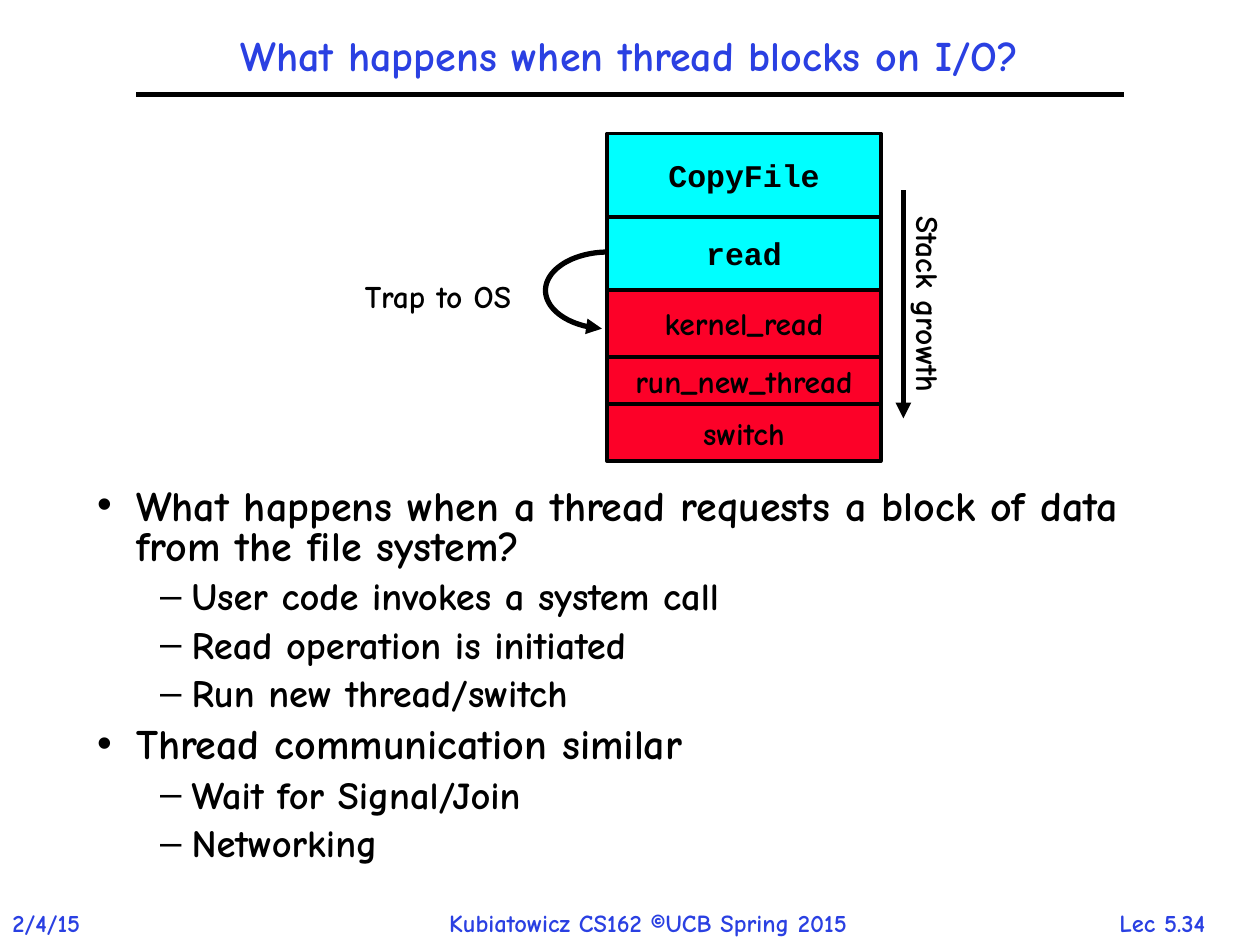
from collections import namedtuple
from math import cos, radians, sin

from lxml import etree
from pptx import Presentation
from pptx.dml.color import RGBColor
from pptx.enum.shapes import MSO_CONNECTOR, MSO_SHAPE
from pptx.enum.text import MSO_ANCHOR, MSO_AUTO_SIZE, PP_ALIGN
from pptx.oxml.ns import qn
from pptx.util import Inches, Pt

STRAIGHT = MSO_CONNECTOR.STRAIGHT
RECTANGLE = MSO_SHAPE.RECTANGLE
MIDDLE, TOP = MSO_ANCHOR.MIDDLE, MSO_ANCHOR.TOP
FIT_SHAPE, NO_FIT = MSO_AUTO_SIZE.SHAPE_TO_FIT_TEXT, MSO_AUTO_SIZE.NONE
LEFT, CENTER = PP_ALIGN.LEFT, PP_ALIGN.CENTER

COLORS = {"blue": "2A40E2", "black": "000000", "user": "00FFFF", "kernel": "FC0128"}
HAND, CODE = "Comic Neue", "Courier New"

FRAMES = [
    ("CopyFile", 0.66, "user", CODE),
    ("read", 0.58, "user", CODE),
    ("kernel_read", 0.53, "kernel", HAND),
    ("run_new_thread", 0.38, "kernel", HAND),
    ("switch", 0.45, "kernel", HAND),
]
POINTS = [
    (0, "What happens when a thread requests a block of data from the file system?"),
    (1, "User code invokes a system call"),
    (1, "Read operation is initiated"),
    (1, "Run new thread/switch"),
    (0, "Thread communication similar"),
    (1, "Wait for Signal/Join"),
    (1, "Networking"),
]
LEVELS = [(24, 0.31, -0.31), (22, 0.75, -0.25)]
FOOTERS = [
    ("2/4/15", 0, 0.88, LEFT),
    ("Kubiatowicz CS162 ©UCB Spring 2015", 3.21, 3.87, CENTER),
    ("Lec 5.34", 8.62, 1.21, CENTER),
]

Box = namedtuple("Box", "left top width height")


def lengths(box):
    """Convert a box in inches to slide lengths."""
    return [Inches(value) for value in box]


def color(name):
    """Look up a colour by name."""
    return RGBColor.from_string(COLORS[name])


def style(paragraph, size, font=HAND, tint="black"):
    """Set the bold lettering of a paragraph."""
    paragraph.font.name = font
    paragraph.font.size = Pt(size)
    paragraph.font.bold = True
    paragraph.font.color.rgb = color(tint)


def stroke(shape, width, arrow=False):
    """Give a shape a plain black line, with an arrowhead at its end if asked."""
    shape.line.color.rgb = color("black")
    shape.line.width = Pt(width)
    if arrow:
        etree.SubElement(shape.line._get_or_add_ln(), qn("a:tailEnd"), type="triangle")


def add_line(slide, start, end, arrow=False):
    """Draw a straight line without a shadow."""
    line = slide.shapes.add_connector(STRAIGHT, *lengths(start + end))
    stroke(line, 3, arrow)
    etree.SubElement(line._element.spPr, qn("a:effectLst"))


def add_label(slide, box, text, size=18, tint="black", alignment=CENTER, rotation=0):
    """Place a single line of text."""
    label = slide.shapes.add_textbox(*lengths(box))
    label.rotation = rotation
    frame = label.text_frame
    frame.word_wrap = False
    frame.auto_size = FIT_SHAPE
    paragraph = frame.paragraphs[0]
    paragraph.text = text
    paragraph.alignment = alignment
    style(paragraph, size, tint=tint)


def add_title(slide, box, text):
    """Fill the title placeholder and rule a line below it."""
    title = slide.shapes.title
    title.left, title.top, title.width, title.height = lengths(box)
    frame = title.text_frame
    frame.auto_size = NO_FIT
    frame.vertical_anchor = MIDDLE
    paragraph = frame.paragraphs[0]
    paragraph.text = text
    paragraph.alignment = CENTER
    paragraph.line_spacing = 0.9
    style(paragraph, 24, tint="blue")
    bottom = box.top + box.height
    add_line(slide, (box.left, bottom), (10 - box.left, bottom))


def add_points(slide, box):
    """Fill the body placeholder with the two-level list."""
    body = slide.placeholders[1]
    body.left, body.top, body.width, body.height = lengths(box)
    frame = body.text_frame
    frame.auto_size = NO_FIT
    frame.vertical_anchor = TOP
    for index, (level, text) in enumerate(POINTS):
        paragraph = frame.add_paragraph() if index else frame.paragraphs[0]
        size, margin, indent = LEVELS[level]
        paragraph.text = text
        paragraph.level = level
        paragraph.line_spacing = 0.8
        paragraph.space_before = Pt(0.3 * size if index else 0)
        properties = paragraph._p.get_or_add_pPr()
        properties.set("marL", str(Inches(margin)))
        properties.set("indent", str(Inches(indent)))
        style(paragraph, size)


def add_stack(slide, box):
    """Stack the call frames, sharing the box height by weight."""
    unit = box.height / sum(weight for _, weight, _, _ in FRAMES)
    top = box.top
    for name, weight, fill, font in FRAMES:
        height = weight * unit
        shape = slide.shapes.add_shape(RECTANGLE, *lengths((box.left, top, box.width, height)))
        shape.shadow.inherit = False
        shape.fill.solid()
        shape.fill.fore_color.rgb = color(fill)
        stroke(shape, 2.25)
        frame = shape.text_frame
        frame.word_wrap = False
        frame.vertical_anchor = MIDDLE
        paragraph = frame.paragraphs[0]
        paragraph.text = name
        paragraph.alignment = CENTER
        style(paragraph, 18, font)
        top += height


def add_trap(slide, box):
    """Draw the half-ellipse trap arrow on the right of the box and its label."""
    radius_x, radius_y = 0.5, box.height / 2
    center_x, center_y = box.left + box.width, box.top + radius_y
    angles = [radians(angle) for angle in range(270, 95, -3)]
    points = [
        (Inches(center_x + radius_x * cos(angle)), Inches(center_y + radius_y * sin(angle)))
        for angle in angles
    ]
    builder = slide.shapes.build_freeform(*points[0])
    builder.add_line_segments(points[1:], close=False)
    arc = builder.convert_to_shape()
    arc.shadow.inherit = False
    arc.fill.background()
    stroke(arc, 3, arrow=True)
    add_label(slide, Box(box.left, box.top + 0.15, 1.61, 0.4), "Trap to OS")


def add_growth(slide, box):
    """Draw the downward arrow and its turned label."""
    add_line(slide, (box.left, box.top), (box.left, box.top + box.height), arrow=True)
    width, height = 1.82, 0.4
    middle = box.top + box.height / 2
    label_box = Box(box.left + box.width / 2 - width / 2, middle - height / 2, width, height)
    add_label(slide, label_box, "Stack growth", rotation=90)


def add_footer(slide, top):
    """Place date, course and page along the bottom."""
    for text, left, width, alignment in FOOTERS:
        add_label(slide, Box(left, top, width, 0.34), text, 14, "blue", alignment)


def main():
    """Build and save the slide."""
    presentation = Presentation()
    presentation.slide_width, presentation.slide_height = Inches(10), Inches(7.5)
    slide = presentation.slides.add_slide(presentation.slide_layouts[1])
    add_footer(slide, 7.16)
    add_title(slide, Box(1.08, 0.17, 7.83, 0.58), "What happens when thread blocks on I/O?")
    add_points(slide, Box(0.67, 3.83, 8.83, 3.33))
    add_stack(slide, Box(4.82, 1.06, 2.17, 2.6))
    add_trap(slide, Box(2.67, 2, 2.16, 0.61))
    add_growth(slide, Box(7.17, 1.51, 0.4, 1.81))
    presentation.save("out.pptx")


if __name__ == "__main__":
    main()
